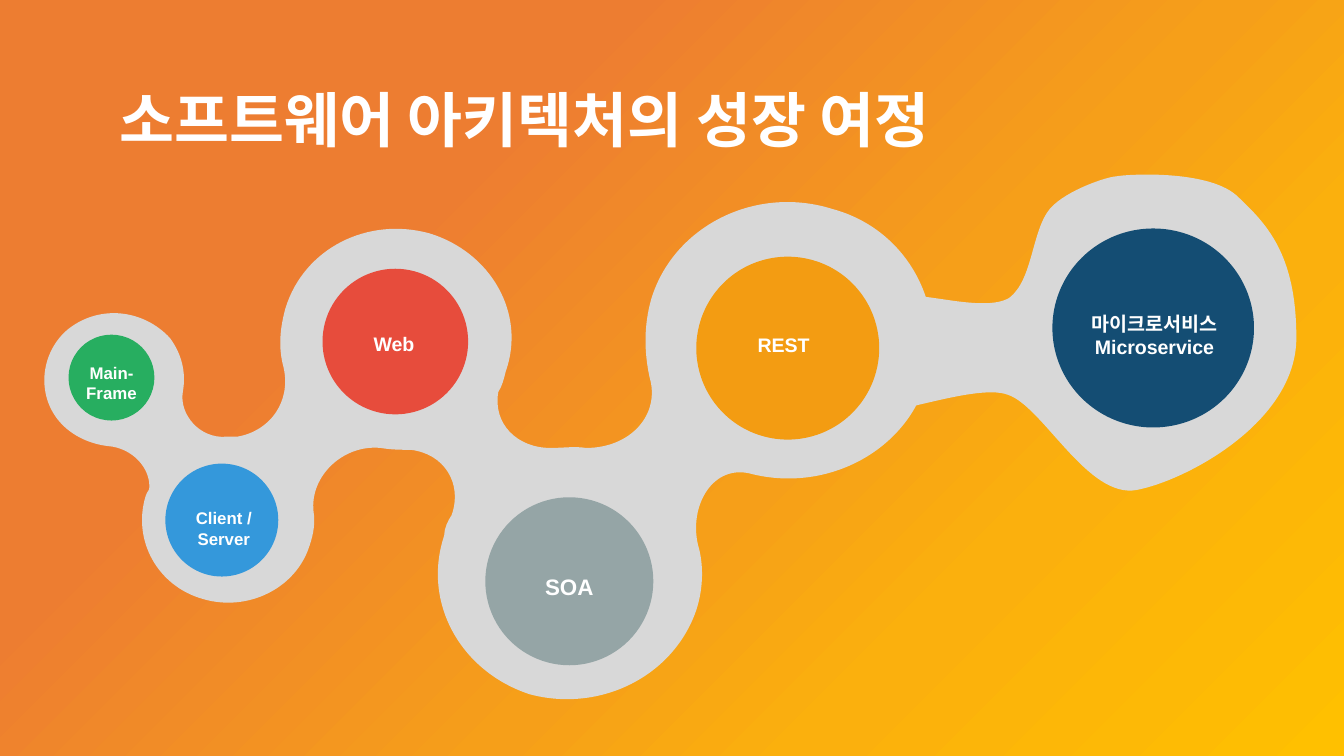
from copy import deepcopy

from pptx import Presentation
from pptx.dml.color import RGBColor
from pptx.enum import shapes, text
from pptx.oxml.ns import qn
from pptx.util import Pt

COLORS = {
    "white": "FFFFFF", "trail": "D8D8D8", "green": "27AE60", "blue": "3498DB",
    "red": "E74C3C", "grey": "95A5A6", "amber": "F39C12", "navy": "144D73",
}
GRADIENT = [(0.30, "ED7D31"), (0.59, "F69F19"), (0.74, "FBB00D"), (1, "FFC000")]
WIDTH, HEIGHT = 720, 405
KOREAN = "Noto Sans CJK KR"
TITLE = "소프트웨어 아키텍처의 성장 여정"

# color, circle (x, y, w, h), label (x, y, w, h), font size, lines
STAGES = [
    ("green", (36.7, 179.3, 46, 46), (36.7, 190.8, 46, 29), 9, ["Main-Frame"]),
    ("blue", (88.6, 248.4, 60.5, 60.5), (90, 268.6, 59.8, 29), 9, ["Client / Server"]),
    ("red", (172.8, 144, 78, 78), (172.1, 174.2, 78, 20), 10.5, ["Web"]),
    ("grey", (260, 266.4, 90, 90), (260, 303.8, 90, 21.6), 12, ["SOA"]),
    ("amber", (373, 137.5, 98, 98), (370.8, 175, 98, 20), 10.5, ["REST"]),
    ("navy", (563.8, 122.4, 108, 106.6), (569.5, 163.4, 98, 32.4), 10.5,
     ["마이크로서비스", "Microservice"]),
]

# Outlines: a start point, then Bezier curves (control, control, end)
TRAIL = ((496, 205), [
    (485, 241, 444, 264, 403, 254), (382, 248, 369, 271, 374, 292),
    (377, 302, 377, 315, 373, 327), (361, 362, 322, 382, 284, 372),
    (247, 360, 226, 323, 238, 287), (238, 283, 240, 279, 242, 276),
    (248, 259, 238, 243, 220, 241), (215, 241, 210, 241, 204, 240),
    (184, 238, 166, 255, 168, 274), (169, 280, 168, 286, 166, 292),
    (159, 315, 133, 328, 109, 321), (84, 314, 71, 289, 78, 266),
    (78, 265, 79, 264, 80, 262), (81, 251, 71, 240, 58, 239),
    (49, 238, 39, 234, 32, 226), (19, 211, 22, 188, 37, 176),
    (54, 163, 77, 166, 91, 181), (97, 189, 100, 199, 98, 210),
    (96, 222, 107, 235, 121, 234), (123, 234, 125, 234, 127, 234),
    (145, 231, 156, 215, 152, 197), (149, 186, 150, 176, 153, 165),
    (163, 133, 197, 116, 230, 125), (263, 135, 282, 168, 271, 199),
    (270, 203, 269, 207, 267, 210), (264, 227, 277, 240, 295, 240),
    (302, 240, 308, 239, 314, 240), (338, 240, 354, 222, 348, 202),
    (345, 188, 345, 174, 349, 160), (361, 121, 405, 99, 446, 112),
    (487, 123, 509, 166, 496, 205),
])
TRAIL_END = ((499, 182), [
    (503, 172, 476, 164, 483, 161), (487, 154, 526, 169, 541, 160),
    (554, 150, 553, 124, 563, 112), (572, 102, 594, 95, 598, 95),
    (602, 94, 646, 91, 662, 105), (678, 120, 694, 136, 694, 181),
    (694, 226, 635, 257, 609, 262), (583, 267, 559, 217, 540, 211),
    (521, 204, 466, 228, 462, 218), (444, 204, 495, 192, 499, 182),
])


def rgb(name):
    return RGBColor.from_string(COLORS[name])


def paint(sp, color, line=None):
    sp.shadow.inherit = False
    sp.fill.solid()
    sp.fill.fore_color.rgb = rgb(color)
    if line:
        sp.line.color.rgb = rgb(color)
        sp.line.width = Pt(line)
    else:
        sp.line.fill.background()


def add_background(slide):
    sp = slide.shapes.add_shape(shapes.MSO_SHAPE.RECTANGLE, 0, 0, Pt(WIDTH), Pt(HEIGHT))
    sp.shadow.inherit = False
    sp.line.fill.background()
    sp.fill.gradient()
    sp.fill.gradient_angle = 315
    stops = sp._element.spPr.find(qn("a:gradFill")).find(qn("a:gsLst"))
    for _ in GRADIENT[2:]:
        stops.append(deepcopy(stops[0]))
    for stop, (position, color) in zip(sp.fill.gradient_stops, GRADIENT):
        stop.position = position
        stop.color.rgb = RGBColor.from_string(color)


def add_curved_outline(slide, outline, color, line=None):
    """Build from all curve points, then turn each three line segments into one curve."""
    start, curves = outline
    points = [c[i:i + 2] for c in curves for i in (0, 2, 4)]
    builder = slide.shapes.build_freeform(*start, scale=Pt(1))
    builder.add_line_segments(points, close=True)
    sp = builder.convert_to_shape()
    segments = list(sp._element.iter(qn("a:lnTo")))
    for i in range(0, len(segments), 3):
        first, *others = segments[i:i + 3]
        curve = first.makeelement(qn("a:cubicBezTo"))
        first.addprevious(curve)
        for segment in (first, *others):
            curve.append(segment[0])
            segment.getparent().remove(segment)
    paint(sp, color, line)


def add_text(slide, lines, box, size, font="Arial", align="LEFT", anchor="TOP", spacing=None):
    tf = slide.shapes.add_textbox(*map(Pt, box)).text_frame
    tf.word_wrap = True
    tf.vertical_anchor = getattr(text.MSO_ANCHOR, anchor)
    for i, line in enumerate(lines):
        p = tf.add_paragraph() if i else tf.paragraphs[0]
        p.alignment = getattr(text.PP_ALIGN, align)
        if spacing:
            p.line_spacing = spacing
        r = p.add_run()
        r.text = line
        r.font.name, r.font.size, r.font.bold = font, Pt(size), True
        r.font.color.rgb = rgb("white")
        rPr = r.font._element
        east_asian = rPr.makeelement(qn("a:ea"), {"typeface": KOREAN})
        rPr.find(qn("a:latin")).addnext(east_asian)


prs = Presentation()
prs.slide_width, prs.slide_height = Pt(WIDTH), Pt(HEIGHT)
s = prs.slides.add_slide(prs.slide_layouts[6])

add_background(s)
add_text(s, [TITLE], (56.9, 32.4, 605.5, 67.7), 32, font=KOREAN, anchor="MIDDLE", spacing=0.9)
add_curved_outline(s, TRAIL, "trail")
add_curved_outline(s, TRAIL_END, "trail", line=1)
for color, circle, label, size, lines in STAGES:
    paint(s.shapes.add_shape(shapes.MSO_SHAPE.OVAL, *map(Pt, circle)), color)
    add_text(s, lines, label, size, align="CENTER")

prs.save("out.pptx")
